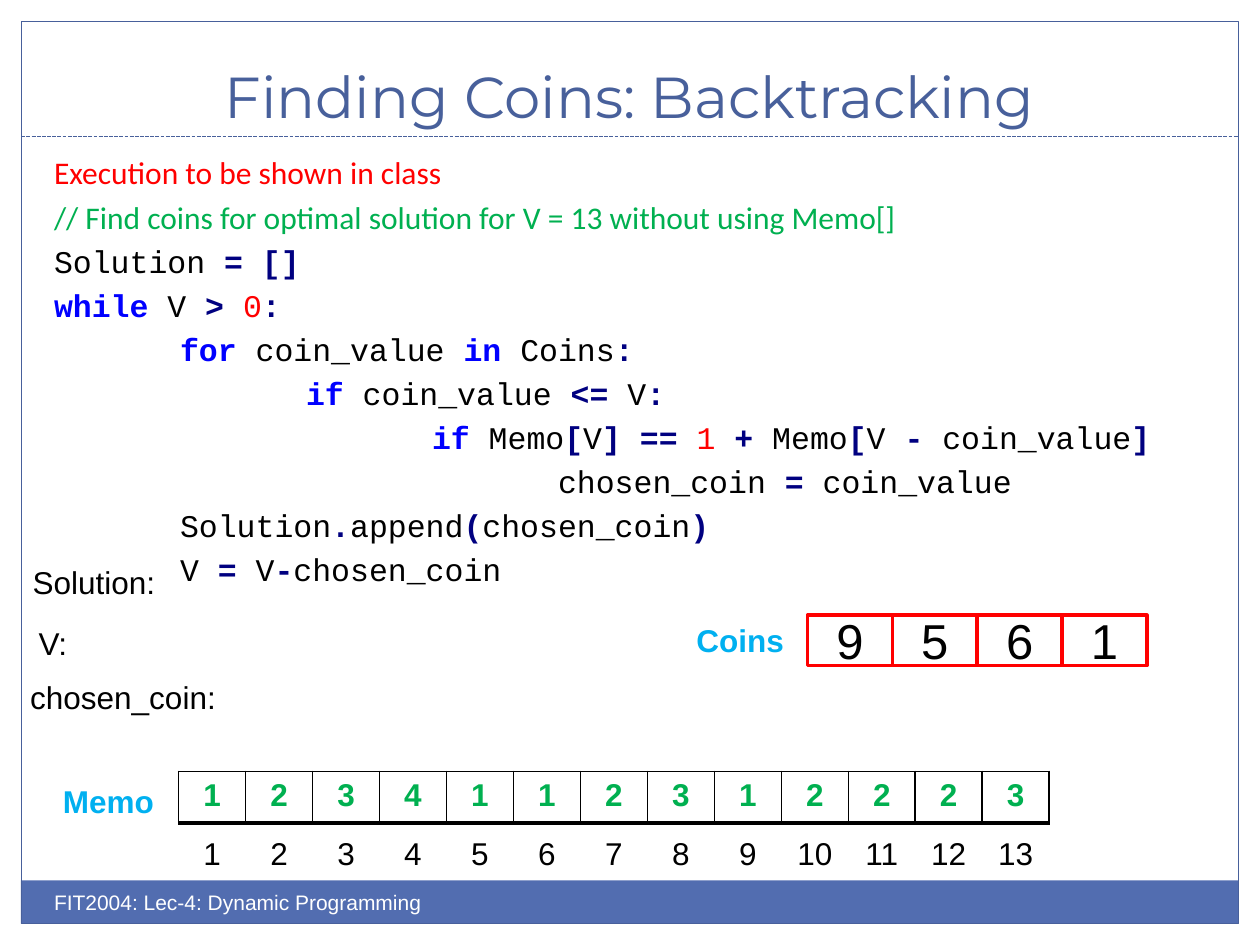
from lxml import etree
from pptx import Presentation
from pptx.dml.color import RGBColor
from pptx.enum.dml import MSO_LINE
from pptx.enum.shapes import MSO_CONNECTOR, MSO_SHAPE
from pptx.enum.text import MSO_ANCHOR, PP_ALIGN
from pptx.oxml.ns import qn
from pptx.util import Cm, Pt

RECTANGLE = MSO_SHAPE.RECTANGLE
STRAIGHT = MSO_CONNECTOR.STRAIGHT
DASH = MSO_LINE.SQUARE_DOT
CENTER = PP_ALIGN.CENTER
LEFT = PP_ALIGN.LEFT
TOP = MSO_ANCHOR.TOP
MIDDLE = MSO_ANCHOR.MIDDLE
BOTTOM = MSO_ANCHOR.BOTTOM

BLACK, WHITE, RED, GREEN = "000000", "FFFFFF", "FF0000", "00B050"
BLUE, NAVY, CYAN = "0000FF", "000080", "00B0F0"
OUTLINE, BAND = "48609B", "526DB0"


def rgb(color):
    return RGBColor.from_string(color)


def write(para, text, size=18, font="Arial", color=BLACK, bold=False, align=LEFT):
    para.alignment = align
    span = para.add_run()
    span.text = text
    span.font.size = Pt(size)
    span.font.name = font
    span.font.bold = bold
    span.font.color.rgb = rgb(color)


deck = Presentation()
deck.slide_width, deck.slide_height = Cm(25.4), Cm(19.05)
page = deck.slides.add_slide(deck.slide_layouts[6])
shapes = page.shapes

footer = shapes.add_shape(RECTANGLE, Cm(0.42), Cm(17.75), Cm(24.55), Cm(0.87))
footer.shadow.inherit = False
footer.fill.solid()
footer.fill.fore_color.rgb = rgb(BAND)
footer.line.fill.background()

border = shapes.add_shape(RECTANGLE, Cm(0.43), Cm(0.43), Cm(24.54), Cm(18.19))
border.shadow.inherit = False
border.fill.background()
border.line.color.rgb = rgb(OUTLINE)
border.line.width = Pt(0.75)

divider = shapes.add_connector(STRAIGHT, Cm(0.43), Cm(2.75), Cm(24.97), Cm(2.75))
divider.line.color.rgb = rgb(OUTLINE)
divider.line.width = Pt(0.75)
divider.line.dash_style = DASH
etree.SubElement(divider._element.spPr, qn("a:effectLst"))

title = shapes.add_textbox(Cm(0.84), Cm(0.64), Cm(23.7), Cm(2.11)).text_frame
title.word_wrap = True
title.vertical_anchor = BOTTOM
write(title.paragraphs[0], "Finding Coins: Backtracking",
      size=33, font="Montserrat", color=OUTLINE, align=CENTER)

body = shapes.add_textbox(Cm(0.84), Cm(2.97), Cm(23.72), Cm(8.15)).text_frame
body.word_wrap = True
line_gap = Pt(3.6)
write(body.paragraphs[0], "Execution to be shown in class", font="Calibri", color=RED)
comment = body.add_paragraph()
comment.space_before = line_gap
write(comment, "// Find coins for optimal solution for V = 13 without using Memo[]",
      font="Calibri", color=GREEN)

code_lines = [
    "Solution |=| |[]",
    "while| V |>| |0|:",
    "\t|for| coin_value |in| Coins|:",
    "\t\t|if| coin_value |<=| V|:",
    "\t\t\t|if| Memo|[|V|]| |==| |1| |+| Memo|[|V |-| coin_value|]",
    "\t\t\t\tchosen_coin |=| coin_value",
    "\tSolution|.|append|(|chosen_coin|)",
    "\tV |=| V|-|chosen_coin",
]
token_colors = {word: BLUE for word in ("while", "for", "in", "if")}
token_colors |= {digit: RED for digit in "01"}
token_colors |= {sign: NAVY for sign in ("=", "[]", ">", ":", "<=", "[", "]", "==",
                                         "+", "-", ".", "(", ")")}
for line in code_lines:
    para = body.add_paragraph()
    para.space_before = line_gap
    tabs = etree.SubElement(para._p.get_or_add_pPr(), qn("a:tabLst"))
    for level in range(1, 5):
        etree.SubElement(tabs, qn("a:tab"), pos=str(Cm(2.54) * level), algn="l")
    for token in line.split("|"):
        color = token_colors.get(token, BLACK)
        write(para, token, font="Courier New", color=color, bold=color in (BLUE, NAVY))

memo_values = [1, 2, 3, 4, 1, 1, 2, 3, 1, 2, 2, 2, 3]
memo_borders = {"a:lnL": 1, "a:lnR": 1, "a:lnT": 1, "a:lnB": 2}
no_borders = dict.fromkeys(memo_borders, 0)
column_width = Cm(1.35)
for top, values, color, bold, borders in [
    (15.55, memo_values, GREEN, True, memo_borders),
    (16.74, range(1, 14), BLACK, False, no_borders),
]:
    count = len(values)
    table = shapes.add_table(1, count, Cm(3.6), Cm(top),
                             column_width * count, Cm(1.04)).table
    table.first_row = False
    table.horz_banding = False
    for column, value in enumerate(values):
        table.columns[column].width = column_width
        cell = table.cell(0, column)
        write(cell.text_frame.paragraphs[0], str(value), color=color, bold=bold, align=CENTER)
        properties = cell._tc.get_or_add_tcPr()
        for side, width in borders.items():
            edge = etree.SubElement(properties, qn(side), w=str(Pt(width)))
            if width:
                paint = etree.SubElement(edge, qn("a:solidFill"))
                etree.SubElement(paint, qn("a:srgbClr"), val=BLACK)
            else:
                etree.SubElement(edge, qn("a:noFill"))
        cell.fill.background()

for index, coin in enumerate([9, 5, 6, 1]):
    box = shapes.add_shape(RECTANGLE, Cm(16.28 + 1.71 * index), Cm(12.4), Cm(1.71), Cm(1.02))
    box.shadow.inherit = False
    box.fill.background()
    box.line.color.rgb = rgb(RED)
    box.line.width = Pt(2)
    box.text_frame.vertical_anchor = MIDDLE
    write(box.text_frame.paragraphs[0], str(coin), size=28, align=CENTER)

for text, left, top, width, style in [
    ("Memo", 1.02, 15.65, 2.36, {"color": CYAN, "bold": True}),
    ("Coins", 13.79, 12.4, 2.29, {"color": CYAN, "bold": True}),
    ("FIT2004: Lec-4: Dynamic Programming", 0.84, 17.81, 12.7, {"size": 12, "color": WHITE}),
    ("Solution:", 0.41, 11.23, 3.18, {}),
    ("V:", 0.53, 12.45, 1.27, {}),
    ("chosen_coin:", 0.36, 13.54, 4.29, {}),
]:
    label = shapes.add_textbox(Cm(left), Cm(top), Cm(width), Cm(1.02)).text_frame
    label.word_wrap = False
    label.vertical_anchor = TOP
    write(label.paragraphs[0], text, **style)

deck.save("out.pptx")
